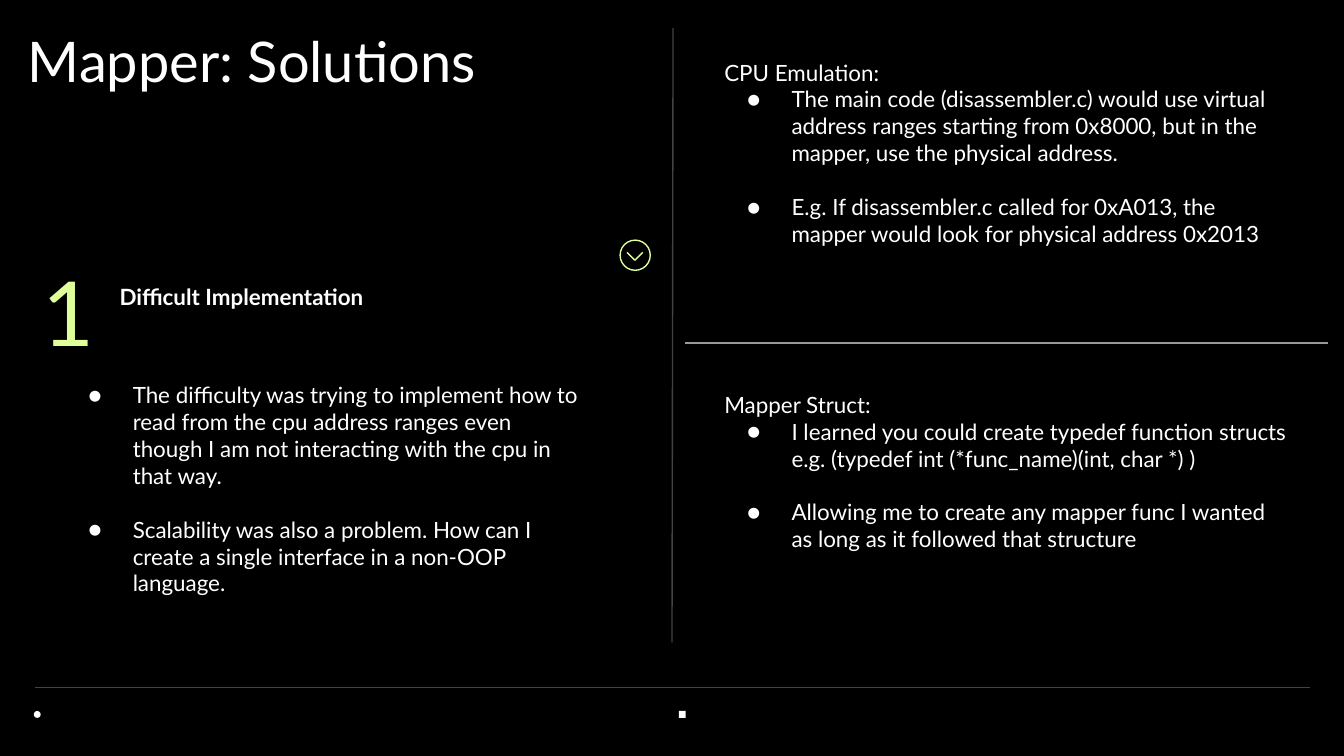
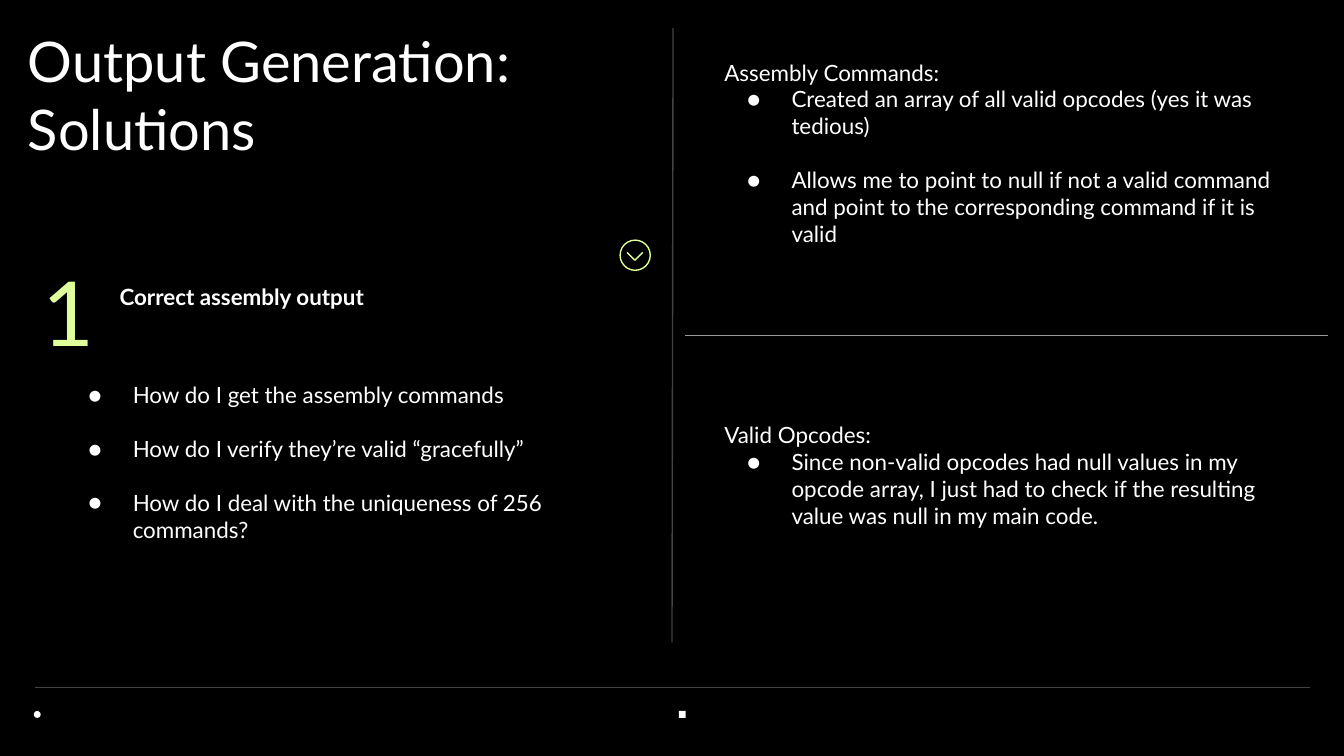
from dataclasses import dataclass

from lxml import etree
from pptx import Presentation
from pptx.dml.color import RGBColor
from pptx.enum.shapes import MSO_CONNECTOR, MSO_SHAPE
from pptx.enum.text import MSO_ANCHOR, MSO_AUTO_SIZE
from pptx.oxml.ns import qn
from pptx.util import Cm, Pt

LINE = MSO_CONNECTOR.STRAIGHT
OVAL = MSO_SHAPE.OVAL
RECT = MSO_SHAPE.RECTANGLE
TOP = MSO_ANCHOR.TOP
GROW = MSO_AUTO_SIZE.SHAPE_TO_FIT_TEXT


@dataclass(frozen=True)
class Theme:
    """Colours, font and sizes shared by the slides."""
    back: str = "000000"
    text: str = "FFFFFF"
    lime: str = "DEFF9A"
    dark: str = "434343"
    grey: str = "999999"
    font: str = "Lato"
    title: float = 30
    digit: float = 48
    body: float = 12
    gap: float = 14.4
    lead: float = 1.15
    line: float = 0.75
    inset: float = 0.25
    indent: float = 1.27
    hang: float = 0.84


THEME = Theme()
WIDTH, HEIGHT = 25.4, 14.29
LEFT = (0, 0, 12.7, 13)
RIGHT = (12.7, 0, 12.7, 13)
FOOT = (0, 13, WIDTH, 1.29)

SLIDES = [
    {
        "title": "Mapper: Solutions",
        "rows": 1,
        "head": "Difficult Implementation",
        "points": [
            "The difficulty was trying to implement how to read from the cpu "
            "address ranges even though I am not interacting with the cpu in "
            "that way.",
            "Scalability was also a problem. How can I create a single "
            "interface in a non-OOP language.",
        ],
        "rule": 6.48,
        "tall": 5.49,
        "notes": [
            (0.86, "CPU Emulation:", [
                "The main code (disassembler.c) would use virtual address "
                "ranges starting from 0x8000, but in the mapper, use the "
                "physical address.",
                "E.g. If disassembler.c called for 0xA013, the mapper would "
                "look for physical address 0x2013",
            ]),
            (7.14, "Mapper Struct:", [
                "I learned you could create typedef function structs e.g. "
                "(typedef int (*func_name)(int, char *) )",
                "Allowing me to create any mapper func I wanted as long as it "
                "followed that structure",
            ]),
        ],
    },
    {
        "title": "Output Generation: Solutions",
        "rows": 2,
        "head": "Correct assembly output",
        "points": [
            "How do I get the assembly commands",
            "How do I verify they’re valid “gracefully”",
            "How do I deal with the uniqueness of 256 commands?",
        ],
        "rule": 6.34,
        "tall": 3.99,
        "notes": [
            (0.86, "Assembly Commands:", [
                "Created an array of all valid opcodes (yes it was tedious)",
                "Allows me to point to null if not a valid command and point "
                "to the corresponding command if it is valid",
            ]),
            (7.72, "Valid Opcodes:", [
                "Since non-valid opcodes had null values in my opcode array, "
                "I just had to check if the resulting value was null in my "
                "main code.",
            ]),
        ],
    },
]


def tint(code):
    """Turn a hex code into a colour."""
    return RGBColor.from_string(code)


def stroke(shapes, x1, y1, x2, y2, color):
    """Draw a thin straight line."""
    line = shapes.add_connector(LINE, Cm(x1), Cm(y1), Cm(x2), Cm(y2))
    line.line.color.rgb = tint(color)
    line.line.width = Pt(THEME.line)
    etree.SubElement(line._element.spPr, qn("a:effectLst"))


def mark(shapes, kind, x, y, size, fill=None, edge=None):
    """Draw a small round or square mark."""
    shape = shapes.add_shape(kind, Cm(x), Cm(y), Cm(size), Cm(size))
    shape.shadow.inherit = False
    if fill:
        shape.fill.solid()
        shape.fill.fore_color.rgb = tint(fill)
    else:
        shape.fill.background()
    if edge:
        shape.line.color.rgb = tint(edge)
        shape.line.width = Pt(THEME.line)
    else:
        shape.line.fill.background()


def frame(slide, box, flush=False):
    """Add a wrapping text box, flush at its top left if asked."""
    text = slide.shapes.add_textbox(*map(Cm, box)).text_frame
    text.word_wrap = True
    text.vertical_anchor = TOP
    text.margin_left = text.margin_top = Cm(0 if flush else THEME.inset)
    text.margin_right = text.margin_bottom = Cm(THEME.inset)
    return text


def style(para, words, size=THEME.body, color=THEME.text, bold=False):
    """Fill a paragraph and set its font."""
    para.text = words
    font = para.font
    font.name = THEME.font
    font.size = Pt(size)
    font.color.rgb = tint(color)
    font.bold = bold


def bullet(para):
    """Give a paragraph a hanging round bullet."""
    props = para._p.get_or_add_pPr()
    props.set("marL", str(Cm(THEME.indent)))
    props.set("indent", str(-Cm(THEME.hang)))
    color = etree.SubElement(props, qn("a:buClr"))
    etree.SubElement(color, qn("a:srgbClr"), val=THEME.text)
    etree.SubElement(props, qn("a:buFont"), typeface=THEME.font)
    etree.SubElement(props, qn("a:buChar"), char="●")


def points(slide, box, items, head=None):
    """Write a bullet list under an optional heading line."""
    text = frame(slide, box)
    para = text.paragraphs[0]
    if head:
        style(para, head)
        para = text.add_paragraph()
    for num, item in enumerate(items):
        if num:
            para = text.add_paragraph()
            para.space_before = Pt(THEME.gap)
        bullet(para)
        style(para, item)


def icon(slide, x, y):
    """Draw a ringed chevron as one group."""
    parts = slide.shapes.add_group_shape().shapes
    mark(parts, OVAL, x, y, 0.57, edge=THEME.lime)
    for side in (0.13, 0.43):
        stroke(parts, x + side, y + 0.23, x + 0.28, y + 0.38, THEME.lime)


def topic(slide, box, data):
    """Build the left half: title, numbered heading and list."""
    x, y, w, h = box
    text = frame(slide, (x + 0.53, y + 0.51, 10.13, 0.28 + 1.27 * data["rows"]),
                 flush=True)
    text.auto_size = GROW
    style(text.paragraphs[0], data["title"], THEME.title)
    para = frame(slide, (x + 0.81, y + 4.55, 1.22, 2.18), True).paragraphs[0]
    para.line_spacing = THEME.lead
    style(para, "1", THEME.digit, THEME.lime)
    para = frame(slide, (x + 2.01, y + 5.03, 9.02, 1.27)).paragraphs[0]
    para.line_spacing = THEME.lead
    style(para, data["head"], bold=True)
    points(slide, (x + 0.99, y + 6.96, 10.36, 5.49), data["points"])
    icon(slide, x + w - 0.98, y + 4.54)
    stroke(slide.shapes, x + w + 0.02, y + 0.53, x + w, y + 12.14, THEME.dark)


def answer(slide, box, data):
    """Build the right half: two notes split by a rule."""
    x, y, w, h = box
    rule = y + data["rule"]
    stroke(slide.shapes, x + 0.25, rule, x + w - 0.3, rule, THEME.grey)
    for top, head, items in data["notes"]:
        points(slide, (x + 0.74, y + top, 11.2, data["tall"]), items, head)


def footer(slide, box):
    """Build the footer line and its two marks."""
    x, y, w, h = box
    stroke(slide.shapes, x + 0.66, y, x + w - 0.64, y, THEME.dark)
    mark(slide.shapes, OVAL, x + 0.64, y + 0.44, 0.13, THEME.text)
    mark(slide.shapes, RECT, x + w / 2 + 0.13, y + 0.44, 0.13, THEME.text)


def main():
    """Build and save the deck."""
    deck = Presentation()
    deck.slide_width, deck.slide_height = Cm(WIDTH), Cm(HEIGHT)
    for data in SLIDES:
        slide = deck.slides.add_slide(deck.slide_layouts[6])
        slide.background.fill.solid()
        slide.background.fill.fore_color.rgb = tint(THEME.back)
        footer(slide, FOOT)
        topic(slide, LEFT, data)
        answer(slide, RIGHT, data)
    deck.save("out.pptx")


if __name__ == "__main__":
    main()
